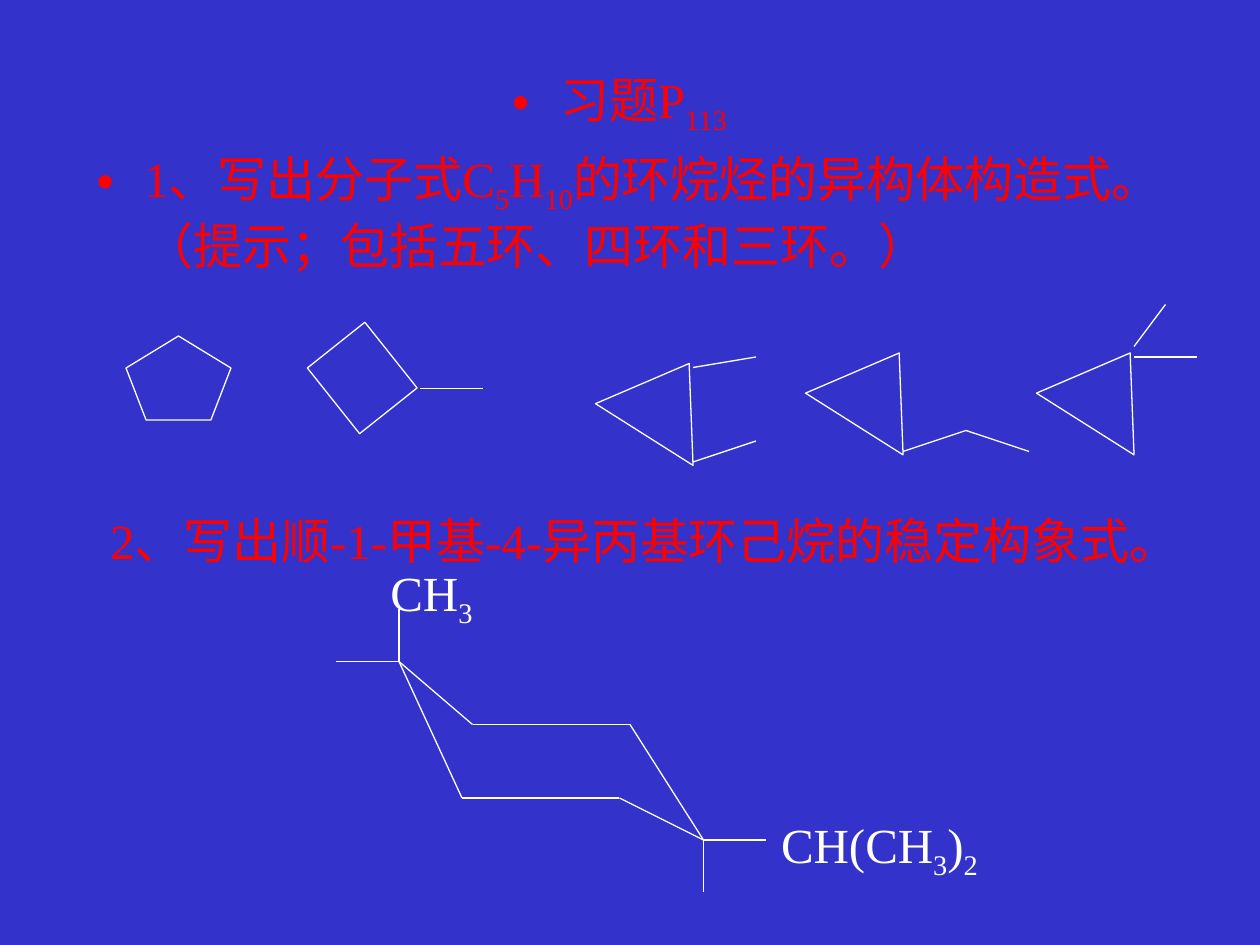
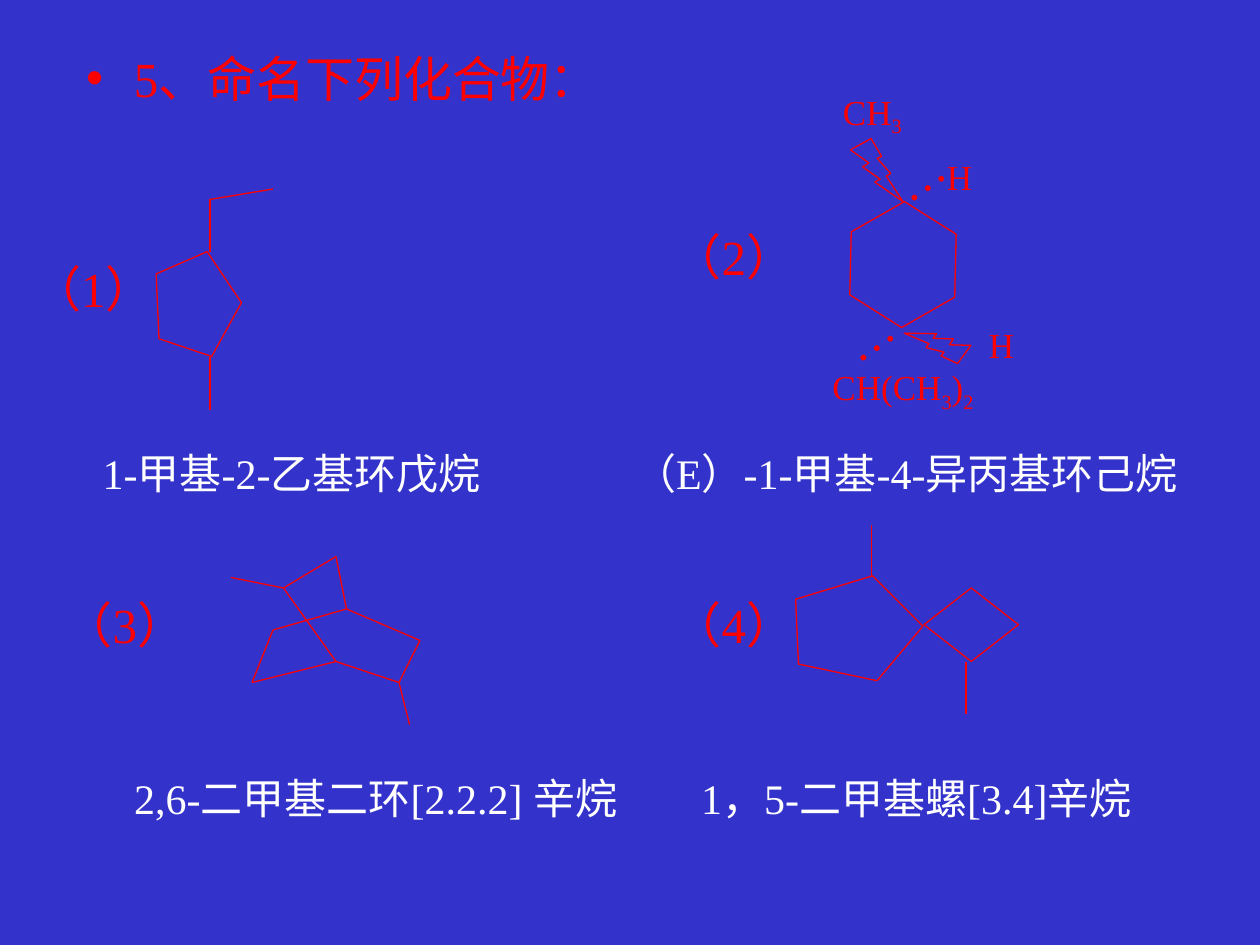
import itertools

import lxml.etree
import pptx
import pptx.dml.color
import pptx.enum.shapes
import pptx.enum.text
import pptx.oxml.ns
import pptx.util

PRESET = pptx.enum.shapes.MSO_SHAPE
ALIGN = pptx.enum.text.PP_ALIGN


class Theme:
    background = "3333CC"
    question = "FF0000"
    answer = "FFFFFF"
    font = "Times New Roman"
    heading, caption, atom = 28, 24, 20  # points
    line_width = 0.75
    space_before = 7
    bullet_indent = 0.38  # inches
    label_heights = {28: 6.84, 24: 6, 20: 5.4}  # grid rows


# The slide is a grid of 120 columns by 90 rows, twelve to the inch.
COLUMNS, ROWS, PER_INCH = 120, 90, 12

# Content: all places are grid columns and rows; ~ marks a subscript
TRIANGLE = (PRESET.ISOSCELES_TRIANGLE, 11, 8, 32.3)  # preset, size, rotation
BOLT = PRESET.LIGHTNING_BOLT

SLIDES = [
    {
        "body": (8, 6, 102, 21),
        "paragraphs": [
            ("习题P~113~", ALIGN.CENTER),
            ("1、写出分子式C~5~H~10~的环烷烃的异构体构造式。"
             "（提示；包括五环、四环和三环。）", ALIGN.LEFT),
        ],
        "drawing_color": Theme.answer,
        "rings": [  # left, top, (preset, width, height, rotation)
            (12, 32, (PRESET.REGULAR_PENTAGON, 10, 8, 0)),
            (30.5, 32.5, (PRESET.RECTANGLE, 8, 7, 51.5)),
            (58, 34, TRIANGLE),
            (78, 33, TRIANGLE),
            (100, 33, TRIANGLE),
        ],
        "bonds": [  # chains of points
            # cycloalkane side groups
            [(40, 37), (46, 37)],
            [(66, 35), (72, 34)],
            [(66, 44), (72, 42)],
            [(86, 43), (92, 41), (98, 43)],
            [(108, 34), (114, 34)],
            [(108, 33), (111, 29)],
            # chair ring and its substituents
            [(38, 63), (45, 69), (60, 69), (67, 80), (59, 76), (44, 76), (38, 63)],
            [(32, 63), (38, 63), (38, 58)],
            [(67, 85), (67, 80), (73, 80)],
        ],
        "labels": [  # text, left, top, width, size, color, rotation
            ("2、写出顺-1-甲基-4-异丙基环己烷的稳定构象式。",
             9.3, 48, 110, Theme.heading, Theme.question, 0),
            ("CH(CH~3~)~2~", 73.2, 77, 21.5, Theme.heading, Theme.answer, 0),
            ("CH~3~", 36, 53, 10.5, Theme.heading, Theme.answer, 0),
        ],
    },
    {
        "body": (7, 4, 102, 9),
        "paragraphs": [("5、命名下列化合物：", ALIGN.LEFT)],
        "drawing_color": Theme.question,
        "rings": [
            (14, 25, (PRESET.REGULAR_PENTAGON, 10, 8, 87.5)),
            (80, 20.2, (PRESET.HEXAGON, 12, 10, 91.3)),
            (81, 13.2, (BOLT, 5, 6, 0)),
            (87, 30.2, (BOLT, 5, 5, 151)),
            (76.9, 53.9, (PRESET.REGULAR_PENTAGON, 10, 12, 87.5)),
            (88, 56, (PRESET.DIAMOND, 9, 7, 0)),
        ],
        "bonds": [
            # (1) methyl and ethyl
            [(20, 34), (20, 39)],
            [(20, 24), (20, 19), (26, 18)],
            # (3) outer ring, bridge, two methyls
            [(26, 60), (24, 65), (32, 63), (38, 65), (40, 61), (33, 58), (26, 60)],
            [(33, 58), (32, 53), (27, 56), (32, 63)],
            [(38, 65), (39, 69)],
            [(22, 55), (27, 56)],
            # (4) two methyls
            [(83, 50), (83, 55)],
            [(92, 63), (92, 68)],
        ],
        "labels": [
            ("（1）", 1.9, 24, 17, Theme.heading, Theme.question, 0),
            ("（2）", 62.9, 21, 17, Theme.heading, Theme.question, 0),
            ("（3）", 4.9, 56, 17, Theme.heading, Theme.question, 0),
            ("（4）", 62.9, 56, 17, Theme.heading, Theme.question, 0),
            ("…", 84, 13.2, 7.1, Theme.heading, Theme.question, 325),
            ("…", 79.1, 28.4, 7.1, Theme.heading, Theme.question, 325),
            ("CH(CH~3~)~2~", 78.1, 34.2, 16.5, Theme.atom, Theme.question, 0),
            ("CH~3~", 79.1, 8, 8.8, Theme.atom, Theme.question, 0),
            ("H", 89, 14.2, 5.2, Theme.atom, Theme.question, 0),
            ("H", 93, 30.2, 5.2, Theme.atom, Theme.question, 0),
            ("1-甲基-2-乙基环戊烷",
             8.6, 42, 42, Theme.caption, Theme.answer, 0),
            ("（E）-1-甲基-4-异丙基环己烷",
             59.2, 42, 60.8, Theme.caption, Theme.answer, 0),
            ("2,6-二甲基二环[2.2.2] 辛烷",
             11.6, 73, 52, Theme.caption, Theme.answer, 0),
            ("1，5-二甲基螺[3.4]辛烷",
             65.6, 73, 49, Theme.caption, Theme.answer, 0),
        ],
    },
]


def grid(*cells):
    return [pptx.util.Inches(cell / PER_INCH) for cell in cells]


def rgb(color):
    return pptx.dml.color.RGBColor.from_string(color)


def style_line(line, color):
    line.color.rgb = rgb(color)
    line.width = pptx.util.Pt(Theme.line_width)


def write(paragraph, text, size, color):
    paragraph.font.name = Theme.font
    paragraph.font.size = pptx.util.Pt(size)
    paragraph.font.color.rgb = rgb(color)
    for index, part in enumerate(text.split("~")):
        if part:
            run = paragraph.add_run()
            run.text = part
            if index % 2:
                run._r.get_or_add_rPr().set("baseline", "-25000")


def add_bullet(paragraph, color):
    qualified = pptx.oxml.ns.qn
    properties = paragraph._p.get_or_add_pPr()
    indent = pptx.util.Inches(Theme.bullet_indent)
    properties.set("marL", str(indent))
    properties.set("indent", str(-indent))
    bullet_color = lxml.etree.SubElement(properties, qualified("a:buClr"))
    lxml.etree.SubElement(bullet_color, qualified("a:srgbClr"), val=color)
    lxml.etree.SubElement(properties, qualified("a:buChar"), char="•")


def fill_body(slide, box, paragraphs):
    title = slide.shapes.title
    title._element.getparent().remove(title._element)
    body = slide.placeholders[1]
    body.left, body.top, body.width, body.height = grid(*box)
    frame = body.text_frame
    frame.auto_size = pptx.enum.text.MSO_AUTO_SIZE.NONE
    for index, (text, alignment) in enumerate(paragraphs):
        paragraph = frame.add_paragraph() if index else frame.paragraphs[0]
        add_bullet(paragraph, Theme.question)
        paragraph.alignment = alignment
        paragraph.space_before = pptx.util.Pt(Theme.space_before if index else 0)
        write(paragraph, text, Theme.heading, Theme.question)


def add_ring(slide, left, top, outline, color):
    preset, width, height, rotation = outline
    shape = slide.shapes.add_shape(preset, *grid(left, top, width, height))
    shape.rotation = rotation
    shape.shadow.inherit = False
    shape.fill.solid()
    shape.fill.fore_color.rgb = rgb(Theme.background)
    style_line(shape.line, color)
    if preset == PRESET.HEXAGON:
        shape.adjustments[0] = 0.3


def add_bonds(slide, points, color):
    for start, end in itertools.pairwise(points):
        connector = slide.shapes.add_connector(
            pptx.enum.shapes.MSO_CONNECTOR.STRAIGHT, *grid(*start, *end))
        style_line(connector.line, color)
        lxml.etree.SubElement(connector._element.spPr,
                              pptx.oxml.ns.qn("a:effectLst"))


def add_label(slide, text, left, top, width, size, color, rotation):
    height = Theme.label_heights[size]
    label = slide.shapes.add_textbox(*grid(left, top, width, height))
    label.rotation = rotation
    label.text_frame.word_wrap = False
    label.text_frame.auto_size = pptx.enum.text.MSO_AUTO_SIZE.SHAPE_TO_FIT_TEXT
    write(label.text_frame.paragraphs[0], text, size, color)


def main():
    presentation = pptx.Presentation()
    presentation.slide_width, presentation.slide_height = grid(COLUMNS, ROWS)
    background = presentation.slide_master.background.fill
    background.solid()
    background.fore_color.rgb = rgb(Theme.background)

    for content in SLIDES:
        slide = presentation.slides.add_slide(presentation.slide_layouts[1])
        color = content["drawing_color"]
        fill_body(slide, content["body"], content["paragraphs"])
        for left, top, outline in content["rings"]:
            add_ring(slide, left, top, outline, color)
        for points in content["bonds"]:
            add_bonds(slide, points, color)
        for label in content["labels"]:
            add_label(slide, *label)

    presentation.save("out.pptx")


if __name__ == "__main__":
    main()
